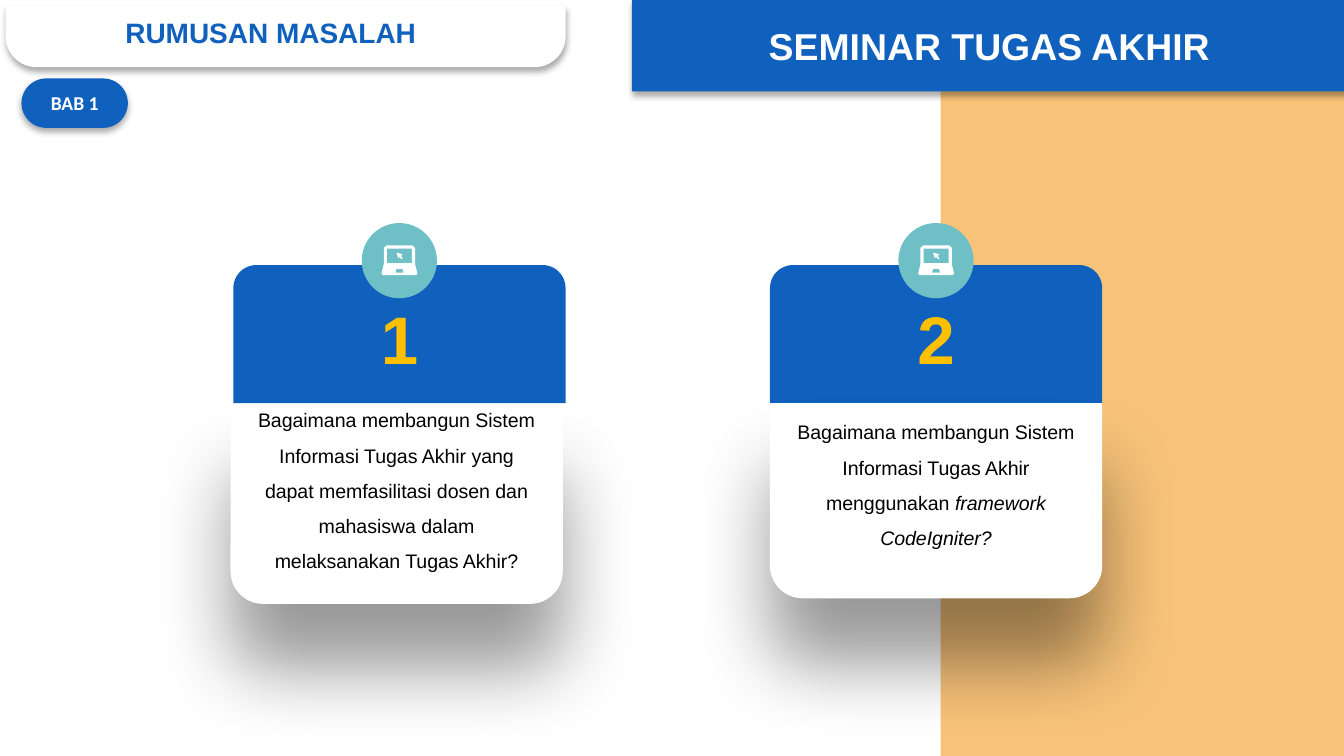
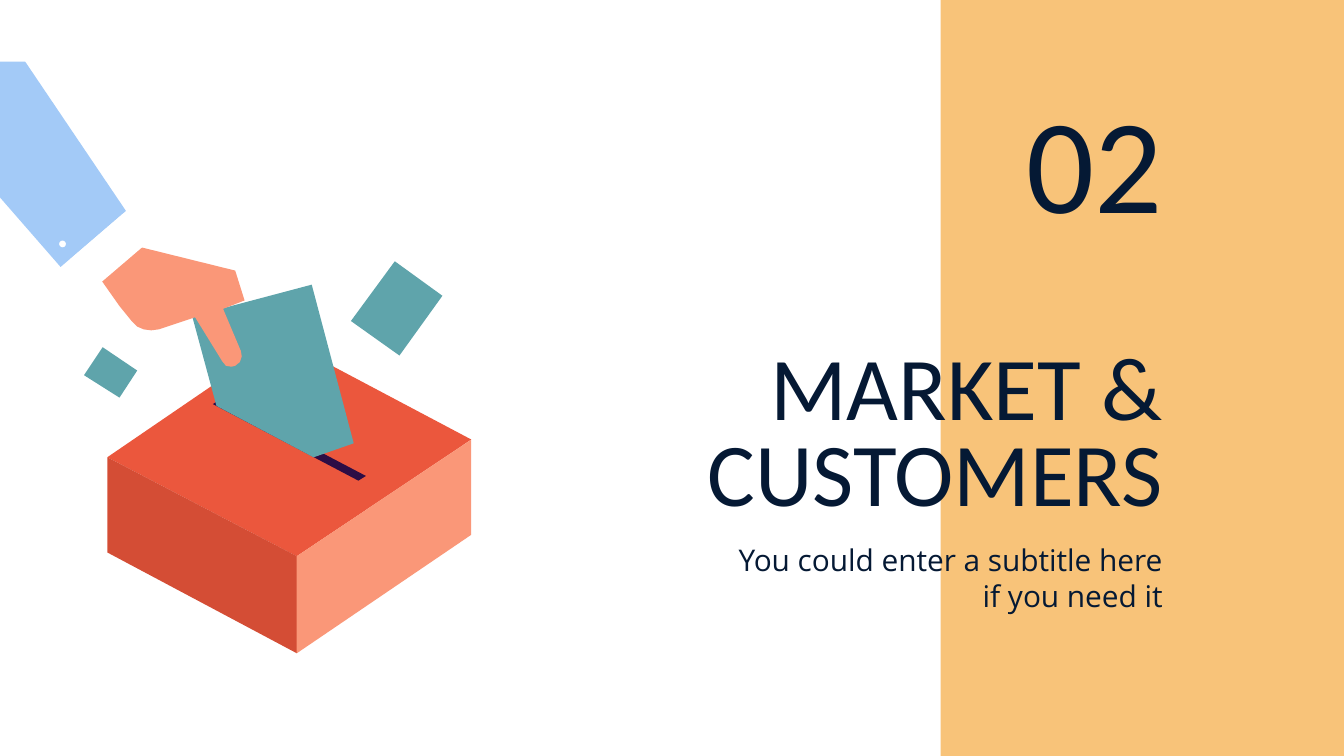
import pptx
import pptx.dml.color
import pptx.enum.shapes
import pptx.enum.text
import pptx.oxml
import pptx.oxml.ns
import pptx.util

Pt = pptx.util.Pt
Shape = pptx.enum.shapes.MSO_SHAPE
Align = pptx.enum.text.PP_ALIGN
Anchor = pptx.enum.text.MSO_ANCHOR

BLUE, SAND, TEAL, GOLD = "1060BD", "F8C379", "6EBFC6", "FFC000"
NAVY, WHITE, BLACK = "051934", "FFFFFF", "000000"
PAPER, SKIN = "5FA4AB", "FA9778"
SOFT_SHADOW = (32, 3.5, 2.2)
DEEP_SHADOW = (40, 41, 35)

LAPTOP = [
    [(13.2, 12), (27.2, 12), (28.6, 13.4), (28.6, 22), (29.8, 27), (29.2, 28),
     (11.2, 28), (10.6, 27), (11.8, 22), (11.8, 13.4)],
    [(13.5, 13.7), (13.5, 21.5), (26.9, 21.5), (26.9, 13.7)],
    [(18.6, 24.6), (18, 26.6), (22.4, 26.6), (21.8, 24.6)],
]
POINTER = [[(18.6, 15.8), (21.8, 16.7), (21.8, 17.2), (20.9, 17.5),
            (22, 18.9), (21.4, 19.4), (20.2, 18.2), (19.6, 18.9)]]

BALLOT_BOX = [
    ("EB573D", [(150.5, 181.5), (252.5, 235.5), (159, 298), (57.5, 245)]),
    ("2D0D45", [(118, 214), (196, 255), (192, 257.5), (114, 216.5)]),
    ("D44D35", [(57.5, 245), (159, 298), (159, 350), (57.5, 296)]),
    (SKIN, [(252.5, 235.5), (252.5, 286.5), (159, 350), (159, 298)]),
    (PAPER, [(167, 152.5), (189.5, 237.5), (168, 245), (116, 217.5), (103, 169.5)]),
    (PAPER, [(211.5, 140), (237, 158.5), (214, 190.5), (188, 172)]),
    (PAPER, [(55, 186), (73.5, 198.5), (64, 213), (45, 201)]),
    (SKIN, [(75.5, 132.5), (126, 145), (131, 161), (119.5, 165.5), (129, 188),
            (129.5, 191), (128.5, 194), (126, 196), (124, 196.5), (121, 196),
            (119, 193.5), (104.5, 170), (85, 176.5), (81, 177), (77, 176.5),
            (73.5, 175), (70.5, 172), (64, 164), (54.5, 150.5)]),
    ("A3CAF7", [(13.5, 33), (67.5, 113), (32.5, 143), (-29, 72.5), (-29, 33)]),
    (WHITE, [(66, 114.5), (78.5, 130.5), (51, 154), (37.5, 139)]),
]


def rgb(value):
    return pptx.dml.color.RGBColor.from_string(value)


class Deck:
    """Holds the shared style and the slide being drawn."""

    def __init__(self):
        self.prs = pptx.Presentation()
        self.prs.slide_width, self.prs.slide_height = Pt(720), Pt(405)
        self.slide = None

    def new_slide(self):
        self.slide = self.prs.slides.add_slide(self.prs.slide_layouts[6])
        self.block(Shape.RECTANGLE, (504, 0, 216, 405), SAND)

    def paint(self, shape, fill, shadow=None):
        shape.fill.solid()
        shape.fill.fore_color.rgb = rgb(fill)
        shape.line.fill.background()
        shape.shadow.inherit = False
        if shadow:
            alpha, blur, distance = shadow
            effects = shape._element.spPr.find(pptx.oxml.ns.qn("a:effectLst"))
            effects.append(pptx.oxml.parse_xml(
                f'<a:outerShdw {pptx.oxml.ns.nsdecls("a")} blurRad="{Pt(blur)}" '
                f'dist="{Pt(distance)}" dir="5400000" algn="t" rotWithShape="0">'
                f'<a:srgbClr val="{BLACK}"><a:alpha val="{alpha * 1000}"/>'
                f'</a:srgbClr></a:outerShdw>'))

    def block(self, kind, box, fill, corners=(), shadow=None):
        shape = self.slide.shapes.add_shape(kind, *map(Pt, box))
        for index, corner in enumerate(corners):
            shape.adjustments[index] = corner
        self.paint(shape, fill, shadow)
        return shape

    def outline(self, contours, fill, left=0, top=0):
        builder = None
        for contour in contours:
            start, *rest = [(Pt(left + x), Pt(top + y)) for x, y in contour]
            if builder is None:
                builder = self.slide.shapes.build_freeform(*start)
            else:
                builder.move_to(*start)
            builder.add_line_segments(rest, close=True)
        self.paint(builder.convert_to_shape(), fill)

    def set_text(self, shape, paragraphs, size, color, font="Arial", bold=False,
                 align=Align.CENTER, anchor=Anchor.MIDDLE, spacing=None,
                 insets=(7.2, 3.6, 7.2, 3.6)):
        frame = shape.text_frame
        frame.word_wrap = True
        frame.vertical_anchor = anchor
        (frame.margin_left, frame.margin_top,
         frame.margin_right, frame.margin_bottom) = map(Pt, insets)
        for index, runs in enumerate(paragraphs):
            paragraph = frame.add_paragraph() if index else frame.paragraphs[0]
            paragraph.alignment = align
            if spacing:
                paragraph.line_spacing = spacing
            paragraph.font.name = font
            paragraph.font.size = Pt(size)
            paragraph.font.bold = bold
            paragraph.font.color.rgb = rgb(color)
            for text, italic in runs:
                run = paragraph.add_run()
                run.text = text
                if italic:
                    run.font.italic = True

    def label(self, kind, box, fill, corners, text, size, color, **style):
        shape = self.block(kind, box, fill, corners, SOFT_SHADOW)
        self.set_text(shape, [[(text, False)]], size, color, bold=True, **style)

    def heading(self, box, text, size, font="Calibri", **style):
        shape = self.slide.shapes.add_textbox(*map(Pt, box))
        self.set_text(shape, [[(text, False)]], size, NAVY, font=font,
                      align=Align.RIGHT, insets=(7.2,) * 4, **style)

    def question_card(self, left, number, question, body_left, body_top):
        header = self.block(Shape.ROUND_2_SAME_RECTANGLE, (left, 142, 178, 74), BLUE)
        self.set_text(header, [[(number, False)]], 36, GOLD, bold=True)
        body = self.block(Shape.ROUND_2_SAME_RECTANGLE, (body_left, body_top, 178, 104.5),
                          WHITE, (0, 0.167), DEEP_SHADOW)
        self.set_text(body, question, 10.5, BLACK, spacing=1.5, insets=(7.2, 3.6, 7.2, 21.7))
        icon_left, icon_top = left + 68.8, 119.5
        self.block(Shape.OVAL, (icon_left, icon_top, 40.3, 40.3), TEAL)
        for contours in (LAPTOP, POINTER):
            self.outline(contours, WHITE, icon_left, icon_top)


def problem_slide(deck):
    deck.new_slide()
    deck.question_card(125, "1", [
        [("Bagaimana membangun Sistem Informasi Tugas Akhir yang", False)],
        [("dapat memfasilitasi dosen dan mahasiswa dalam", False)],
        [("melaksanakan Tugas Akhir?", False)],
    ], 123.5, 219)
    deck.question_card(412.5, "2", [
        [("Bagaimana membangun Sistem Informasi Tugas Akhir menggunakan ", False),
         ("framework CodeIgniter?", True)],
    ], 412.5, 216)
    deck.label(Shape.ROUNDED_RECTANGLE, (11.5, 42, 57, 26.5), BLUE, (0.5,),
               "BAB 1", 10.5, WHITE, font="Calibri")
    deck.label(Shape.ROUND_2_SAME_RECTANGLE, (3, 3, 300, 33), WHITE, (0, 0.5),
               "RUMUSAN MASALAH", 15, BLUE, align=Align.LEFT,
               insets=(59.3, 3.6, 7.2, 3.6))
    deck.label(Shape.ROUND_2_SAME_RECTANGLE, (338.5, 0, 383, 49), BLUE, (0, 0),
               "SEMINAR TUGAS AKHIR", 20, WHITE)


def section_slide(deck):
    deck.new_slide()
    deck.heading((296.5, 201.5, 333.5, 66), "MARKET & CUSTOMERS", 48, spacing=0.8)
    deck.heading((432, 74, 198, 62), "02", 72, anchor=Anchor.BOTTOM)
    deck.heading((379.5, 283, 250.5, 42.5), "You could enter a subtitle here if you need it",
                 16, font="Open Sans", anchor=Anchor.TOP)
    for fill, corners in BALLOT_BOX:
        deck.outline([corners], fill)
    deck.block(Shape.OVAL, (31.7, 128.9, 3.6, 3.6), WHITE)


def main():
    deck = Deck()
    problem_slide(deck)
    section_slide(deck)
    deck.prs.save("out.pptx")


if __name__ == "__main__":
    main()
